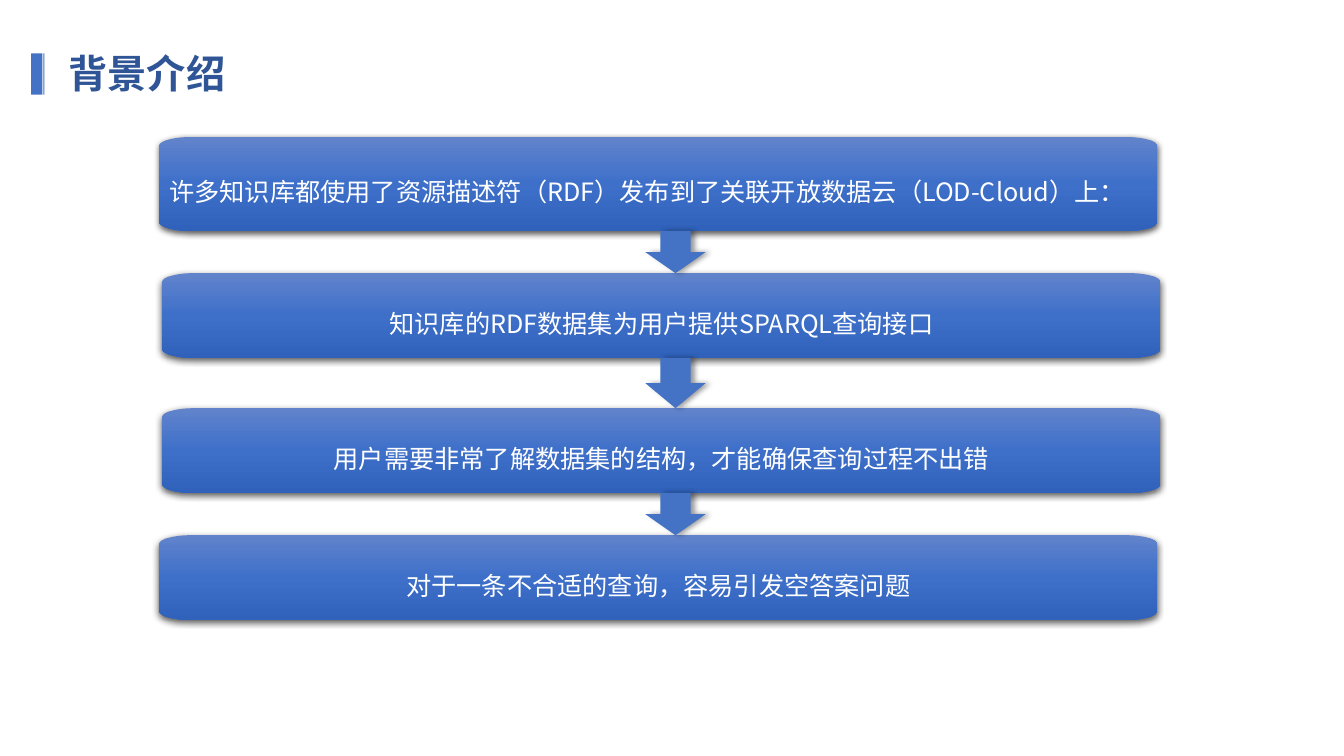
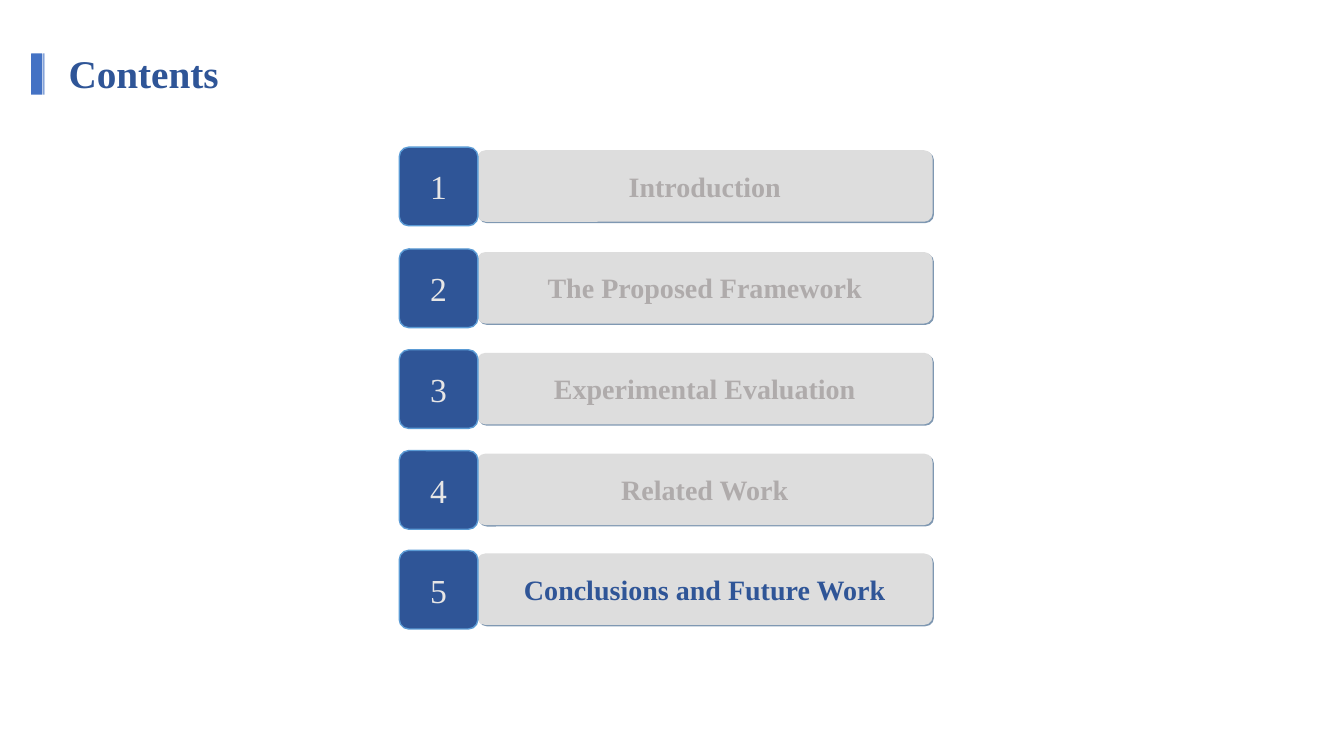
import copy
import dataclasses

import lxml.etree
import pptx
import pptx.dml.color
import pptx.enum.shapes
import pptx.enum.text
import pptx.oxml.ns
import pptx.util

Inches = pptx.util.Inches
Pt = pptx.util.Pt
Shape = pptx.enum.shapes.MSO_SHAPE
Align = pptx.enum.text.PP_ALIGN
Anchor = pptx.enum.text.MSO_ANCHOR
qn = pptx.oxml.ns.qn

# Shared style
COLORS = {
    "accent": "4472C4", "navy": "2F5597", "edge": "5B9BD5",
    "white": "FFFFFF", "pale": "E7E6E6", "panel": "DDDDDD", "muted": "AFABAB",
    "black": "000000", "slate": "003366",
    "step_top": "6183CB", "step_middle": "3E70CA", "step_bottom": "3062BB",
}
SERIF = "Times New Roman"
SANS = "Noto Sans CJK SC"


@dataclasses.dataclass(frozen=True)
class Shadow:
    color: str
    opacity: int
    blur: float
    distance: float
    angle: int


@dataclasses.dataclass(frozen=True)
class TextStyle:
    font: str
    size: int
    color: str
    bold: bool = False


@dataclasses.dataclass(frozen=True)
class Step:
    text: str
    left: float
    top: float
    height: float = 0.84
    align: Align = Align.CENTER


@dataclasses.dataclass(frozen=True)
class Topic:
    text: str
    top: float
    color: str = "muted"


STEP_SHADOW = Shadow("black", 63, 4.5, 1.5, 90)
ARROW_SHADOW = Shadow("black", 40, 4, 3, 0)
TOPIC_SHADOW = Shadow("slate", 50, 0, 1.4, 45)

STEP_WIDTH = 9.9
STEPS = [
    Step("许多知识库都使用了资源描述符（RDF）发布到了关联开放数据云（LOD-Cloud）上：",
         1.58, 1.36, 0.93, Align.LEFT),
    Step("知识库的RDF数据集为用户提供SPARQL查询接口", 1.61, 2.71),
    Step("用户需要非常了解数据集的结构，才能确保查询过程不出错", 1.61, 4.05),
    Step("对于一条不合适的查询，容易引发空答案问题", 1.58, 5.31),
]
TOPICS = [
    Topic("Introduction", 1.46),
    Topic("The Proposed Framework", 2.47),
    Topic("Experimental Evaluation", 3.47),
    Topic("Related Work", 4.47),
    Topic("Conclusions and Future Work", 5.46, "navy"),
]


def rgb(name: str) -> pptx.dml.color.RGBColor:
    return pptx.dml.color.RGBColor.from_string(COLORS[name])


def set_shadow(shape, shadow: Shadow | None) -> None:
    """Replace the theme shadow by the given one, or by none."""
    shape.shadow.inherit = False
    if shadow is None:
        return
    effects = shape.element.spPr.find(qn("a:effectLst"))
    outer = lxml.etree.SubElement(
        effects, qn("a:outerShdw"), blurRad=str(int(Pt(shadow.blur))),
        dist=str(int(Pt(shadow.distance))), dir=str(shadow.angle * 60000),
        algn="ctr", rotWithShape="0")
    color = lxml.etree.SubElement(outer, qn("a:srgbClr"), val=COLORS[shadow.color])
    lxml.etree.SubElement(color, qn("a:alpha"), val=str(shadow.opacity * 1000))


def set_text(shape, text: str, style: TextStyle, align: Align):
    """Write one styled paragraph and return it."""
    frame = shape.text_frame
    frame.text = text
    frame.vertical_anchor = Anchor.MIDDLE
    para = frame.paragraphs[0]
    para.alignment = align
    for span in para.runs:
        span.font.name = style.font
        span.font.size = Pt(style.size)
        span.font.bold = style.bold
        span.font.color.rgb = rgb(style.color)
        east_asian = lxml.etree.SubElement(span.font._element, qn("a:ea"))
        east_asian.set("typeface", SANS)
    return para


def add_box(page, kind: Shape, left: float, top: float, width: float,
            height: float, fill: str, shadow: Shadow | None = None):
    box = page.shapes.add_shape(
        kind, Inches(left), Inches(top), Inches(width), Inches(height))
    box.fill.solid()
    box.fill.fore_color.rgb = rgb(fill)
    box.line.fill.background()
    set_shadow(box, shadow)
    return box


def add_page(deck, title: str):
    """Add a slide with the shared title and marker bars."""
    page = deck.slides.add_slide(deck.slide_layouts[5])
    for left, width in ((0.31, 0.11), (0.43, 0.01)):
        bar = add_box(page, Shape.ROUNDED_RECTANGLE, left, 0.53, width, 0.41,
                      "accent")
        bar.adjustments[0] = 0.02
    box = page.shapes.title
    box.left, box.top = Inches(0.58), Inches(0.52)
    box.width, box.height = Inches(9.02), Inches(0.46)
    box.text_frame.auto_size = pptx.enum.text.MSO_AUTO_SIZE.NONE
    para = set_text(box, title, TextStyle(SERIF, 28, "navy", True), Align.LEFT)
    para.line_spacing = 0.9
    return page


def round_corners(panel) -> None:
    """Turn every other edge of the eight-sided outline into a curve."""
    outline = next(panel.element.iter(qn("a:path")))
    edges = outline.findall(qn("a:lnTo"))
    points = [(int(point.get("x")), int(point.get("y")))
              for point in outline.iter(qn("a:pt"))]
    bend = 0.55
    for index in range(0, len(edges), 2):
        start, end = points[index], points[index + 1]
        starts_upright = index % 4 == 0
        corner = (start[0], end[1]) if starts_upright else (end[0], start[1])
        curve = lxml.etree.Element(qn("a:cubicBezTo"))
        for anchor, pull in ((start, bend), (end, bend), (end, 0)):
            x, y = (round(a + pull * (c - a)) for a, c in zip(anchor, corner))
            lxml.etree.SubElement(curve, qn("a:pt"), x=str(x), y=str(y))
        outline.replace(edges[index], curve)


def add_step(page, step: Step) -> None:
    """Draw a gradient panel with elliptical corners."""
    radius_x, radius_y = 0.31, 0.09
    left, top = step.left, step.top
    right, bottom = left + STEP_WIDTH, top + step.height
    outline = [
        (left, top + radius_y), (left + radius_x, top),
        (right - radius_x, top), (right, top + radius_y),
        (right, bottom - radius_y), (right - radius_x, bottom),
        (left + radius_x, bottom), (left, bottom - radius_y),
    ]
    points = [(Inches(x), Inches(y)) for x, y in outline]
    builder = page.shapes.build_freeform(*points[0])
    builder.add_line_segments(points[1:], close=True)
    panel = builder.convert_to_shape()
    round_corners(panel)

    # Three-stop gradient, running downwards
    panel.fill.gradient()
    panel.fill.gradient_angle = 270
    stop_list = panel.element.spPr.find(qn("a:gradFill")).find(qn("a:gsLst"))
    stop_list.insert(1, copy.deepcopy(stop_list[0]))
    names = ("step_top", "step_middle", "step_bottom")
    for index, (stop, name) in enumerate(zip(panel.fill.gradient_stops, names)):
        stop.position = index / 2
        stop.color.rgb = rgb(name)
    panel.line.fill.background()
    set_shadow(panel, STEP_SHADOW)

    frame = panel.text_frame
    frame.word_wrap = True
    frame.margin_left = frame.margin_right = Inches(0.1)
    frame.margin_top = frame.margin_bottom = Inches(0.1)
    para = set_text(panel, step.text, TextStyle(SANS, 18, "white"), step.align)
    para.line_spacing = 1.5
    para.space_after = Pt(6)


def add_topic(page, number: int, topic: Topic) -> None:
    """Draw a numbered tile and its label."""
    label = add_box(page, Shape.ROUNDED_RECTANGLE, 4.73, topic.top + 0.03,
                    4.52, 0.71, "panel", TOPIC_SHADOW)
    tile = add_box(page, Shape.ROUNDED_RECTANGLE, 3.96, topic.top,
                   0.78, 0.78, "navy")
    tile.line.color.rgb = rgb("edge")
    tile.line.width = Pt(1)
    for box, text, style in (
            (label, topic.text, TextStyle(SERIF, 20, topic.color, True)),
            (tile, str(number), TextStyle(SERIF, 24, "pale"))):
        box.adjustments[0] = 0.12
        box.text_frame.word_wrap = False
        set_text(box, text, style, Align.CENTER)


def build_background(deck) -> None:
    page = add_page(deck, "背景介绍")
    for step in STEPS:
        add_step(page, step)
    for upper, lower in zip(STEPS, STEPS[1:]):
        top = upper.top + upper.height
        add_box(page, Shape.DOWN_ARROW, 6.4, top, 0.6, lower.top - top,
                "accent", ARROW_SHADOW)


def build_contents(deck) -> None:
    page = add_page(deck, "Contents")
    for number, topic in enumerate(TOPICS, start=1):
        add_topic(page, number, topic)


def main() -> None:
    deck = pptx.Presentation()
    deck.slide_width, deck.slide_height = Inches(13.33), Inches(7.5)
    build_background(deck)
    build_contents(deck)
    deck.save("out.pptx")


if __name__ == "__main__":
    main()
